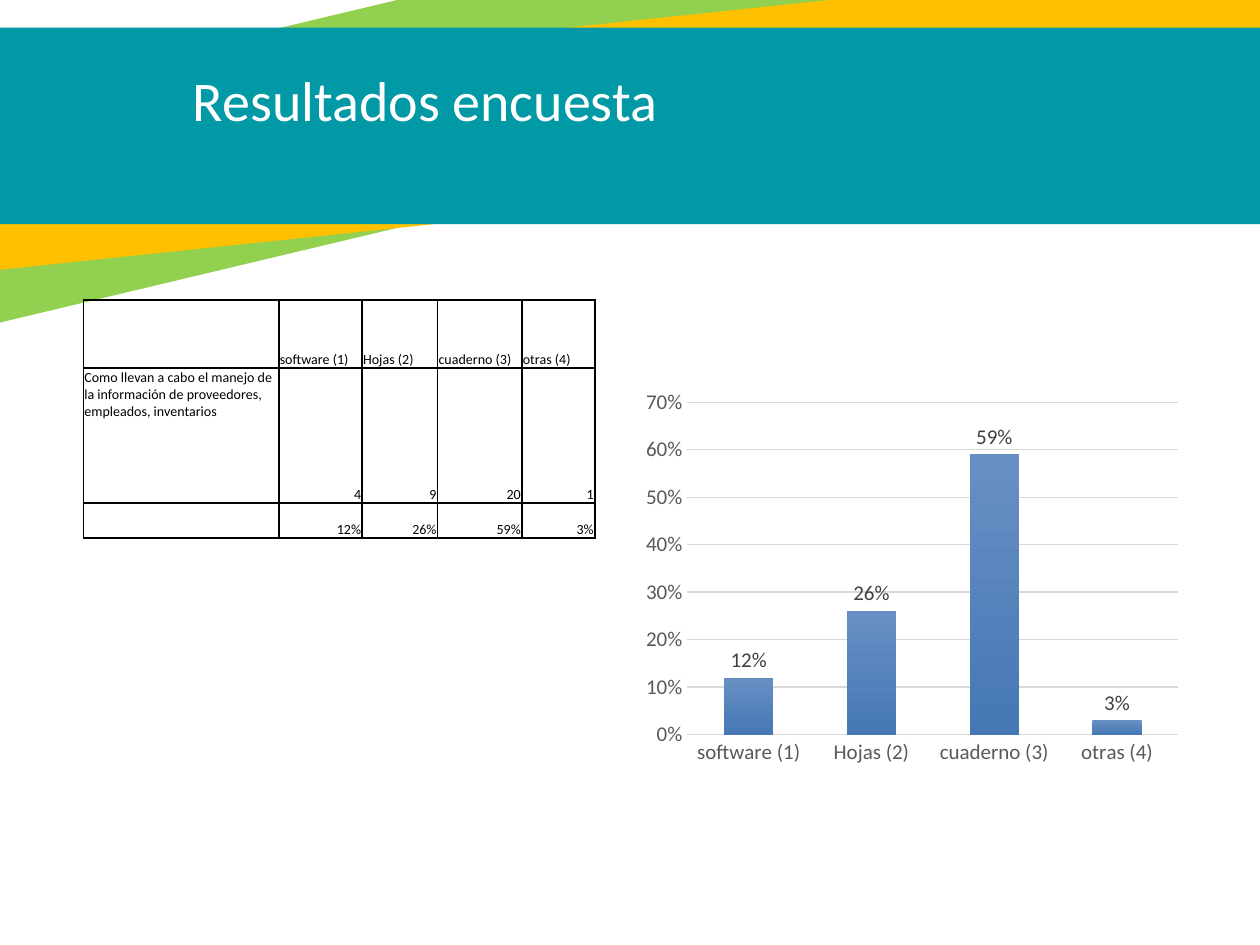
from lxml import etree
from pptx import Presentation
from pptx.chart.data import CategoryChartData
from pptx.dml.color import RGBColor
from pptx.enum.chart import XL_CHART_TYPE, XL_LABEL_POSITION, XL_TICK_MARK
from pptx.enum.shapes import MSO_SHAPE
from pptx.enum.text import MSO_ANCHOR, PP_ALIGN
from pptx.oxml.ns import qn
from pptx.util import Cm, Pt

COLUMN = XL_CHART_TYPE.COLUMN_CLUSTERED
OUTSIDE_END = XL_LABEL_POSITION.OUTSIDE_END
NO_TICK = XL_TICK_MARK.NONE
RECTANGLE = MSO_SHAPE.RECTANGLE
TOP, BOTTOM = MSO_ANCHOR.TOP, MSO_ANCHOR.BOTTOM
LEFT, CENTER, RIGHT = PP_ALIGN.LEFT, PP_ALIGN.CENTER, PP_ALIGN.RIGHT

GREEN = RGBColor(0x92, 0xD0, 0x50)
AMBER = RGBColor(0xFF, 0xC0, 0x00)
TEAL = RGBColor(0x00, 0x99, 0xA5)
WHITE = RGBColor(0xFF, 0xFF, 0xFF)
BLACK = RGBColor(0x00, 0x00, 0x00)
AXIS_GRAY = RGBColor(0x59, 0x59, 0x59)
LABEL_GRAY = RGBColor(0x40, 0x40, 0x40)
GRID_GRAY = RGBColor(0xD9, 0xD9, 0xD9)
BAR_COLORS = RGBColor(0x68, 0x8F, 0xC3), RGBColor(0x45, 0x78, 0xB5)

OPTIONS = ["software (1)", "Hojas (2)", "cuaderno (3)", "otras (4)"]
COUNTS = [4, 9, 20, 1]
SHARES = [0.12, 0.26, 0.59, 0.03]
QUESTION = ("Como llevan a cabo el manejo de la información de proveedores, "
            "empleados, inventarios")


class SlideBuilder:
    """Holds the font and the current slide, and adds styled elements to it."""

    def __init__(self, slide, font_name="Calibri"):
        self.s = slide
        self.font_name = font_name

    def style(self, font, size, color):
        font.name = self.font_name
        font.size = Pt(size)
        font.color.rgb = color

    def band(self, box, color, rotation=0):
        sp = self.s.shapes.add_shape(RECTANGLE, *map(Cm, box))
        sp.rotation = rotation
        sp.shadow.inherit = False
        sp.fill.solid()
        sp.fill.fore_color.rgb = color
        sp.line.fill.background()

    def title(self, text, box):
        sp = self.s.shapes.title
        sp.left, sp.top, sp.width, sp.height = map(Cm, box)
        self.s.shapes._spTree.append(sp._element)
        tf = sp.text_frame
        tf.text = text
        tf.vertical_anchor = TOP
        tf.margin_left = tf.margin_right = Cm(0.18)
        tf.margin_top = tf.margin_bottom = Cm(0.1)
        p = tf.paragraphs[0]
        p.alignment = CENTER
        self.style(p.font, 32, WHITE)

    def cell(self, cell, text, align, anchor):
        cell.text = text
        cell.vertical_anchor = anchor
        cell.margin_left = cell.margin_right = cell.margin_top = Cm(0.02)
        cell.margin_bottom = 0
        cell.fill.background()
        p = cell.text_frame.paragraphs[0]
        p.alignment = align
        self.style(p.font, 8, BLACK)
        tc_pr = cell._tc.get_or_add_tcPr()
        for i, side in enumerate(("lnL", "lnR", "lnT", "lnB")):
            ln = etree.Element(qn(f"a:{side}"), w=str(Pt(1)))
            fill = etree.SubElement(ln, qn("a:solidFill"))
            etree.SubElement(fill, qn("a:srgbClr"), val=str(BLACK))
            tc_pr.insert(i, ln)

    def table(self, rows, left, top, widths, heights):
        table = self.s.shapes.add_table(
            len(rows), len(widths), Cm(left), Cm(top),
            Cm(sum(widths)), Cm(sum(heights))).table
        table.first_row = table.horz_banding = False
        for column, width in zip(table.columns, widths):
            column.width = Cm(width)
        for i, (row, height) in enumerate(zip(rows, heights)):
            table.rows[i].height = Cm(height)
            for j, text in enumerate(row):
                align = RIGHT if i and j else LEFT
                self.cell(table.cell(i, j), text, align, BOTTOM if j else TOP)

    def chart(self, categories, values, box):
        data = CategoryChartData(number_format="0%")
        data.categories = categories
        data.add_series("Series 1", values)
        chart = self.s.shapes.add_chart(COLUMN, *map(Cm, box), data).chart
        chart.has_title = chart.has_legend = False
        self.style(chart.font, 10, BLACK)
        for axis in (chart.category_axis, chart.value_axis):
            axis.major_tick_mark = axis.minor_tick_mark = NO_TICK
            self.style(axis.tick_labels.font, 12, AXIS_GRAY)
        line = chart.category_axis.format.line
        line.color.rgb = GRID_GRAY
        line.width = Pt(1)
        axis = chart.value_axis
        axis.minimum_scale, axis.maximum_scale, axis.major_unit = 0, 0.7, 0.1
        axis.tick_labels.number_format = "0%"
        axis.tick_labels.number_format_is_linked = False
        axis.format.line.fill.background()
        axis.major_gridlines.format.line.color.rgb = GRID_GRAY
        axis.major_gridlines.format.line.width = Pt(0.75)
        plot = chart.plots[0]
        plot.gap_width = 150
        plot.vary_by_categories = False
        series = plot.series[0]
        fill = series.format.fill
        fill.gradient()
        fill.gradient_angle = 270
        for stop, color in zip(fill.gradient_stops, BAR_COLORS):
            stop.color.rgb = color
        labels = series.data_labels
        labels.show_value = True
        labels.position = OUTSIDE_END
        labels.number_format = "0%"
        labels.number_format_is_linked = False
        self.style(labels.font, 12, LABEL_GRAY)


def main():
    prs = Presentation()
    prs.slide_width, prs.slide_height = Cm(25.4), Cm(19.05)
    b = SlideBuilder(prs.slides.add_slide(prs.slide_layouts[5]))
    b.band((-6.38, -0.46, 33.17, 4.47), GREEN, 346.6)
    b.band((-2.79, 0.51, 29.54, 3.66), AMBER, 354)
    b.band((-2.69, 0.56, 29.54, 3.96), TEAL)
    b.title("Resultados encuesta", (-0.71, 1.22, 18.57, 2.67))
    rows = [["", *OPTIONS],
            [QUESTION, *map(str, COUNTS)],
            ["", *(f"{share:.0%}" for share in SHARES)]]
    b.table(rows, 1.68, 6.05, [3.94, 1.68, 1.52, 1.7, 1.47], [1.37, 2.72, 0.71])
    b.chart(OPTIONS, SHARES, (12.8, 7.7, 11.18, 7.87))
    prs.save("out.pptx")


if __name__ == "__main__":
    main()
